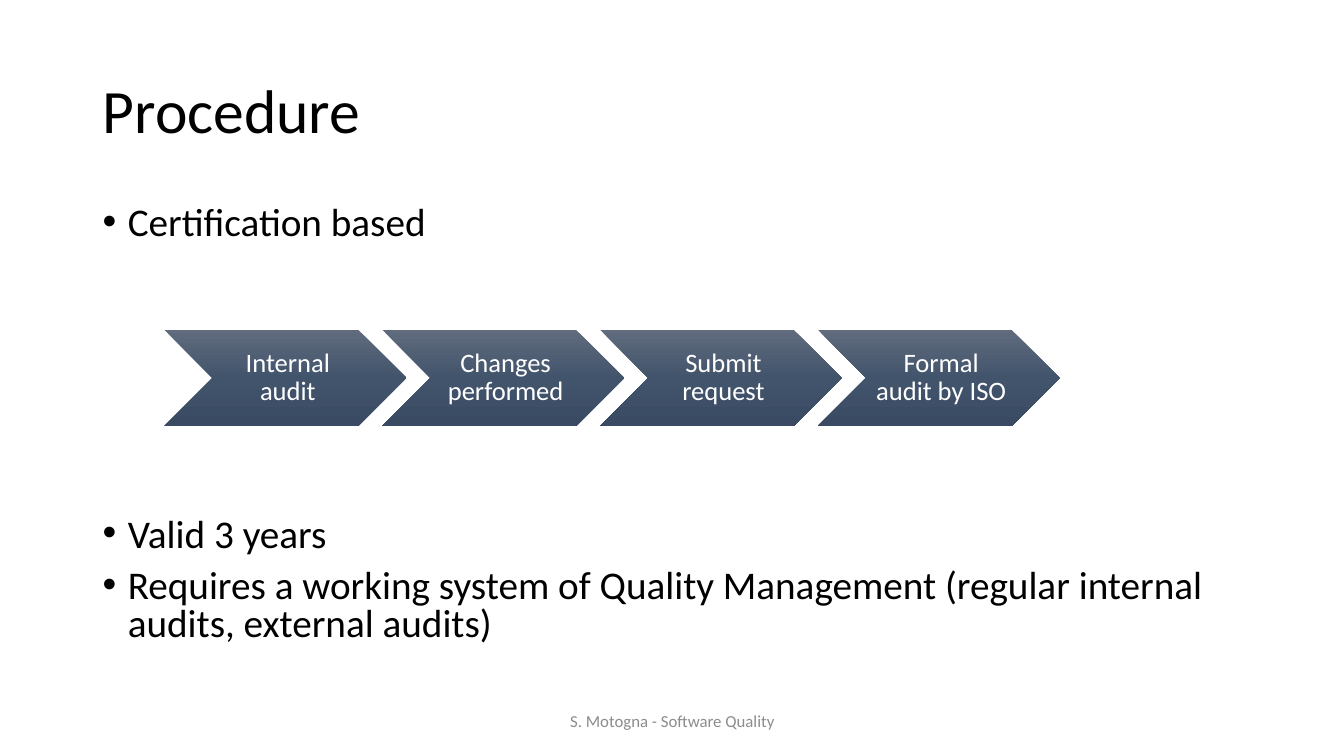
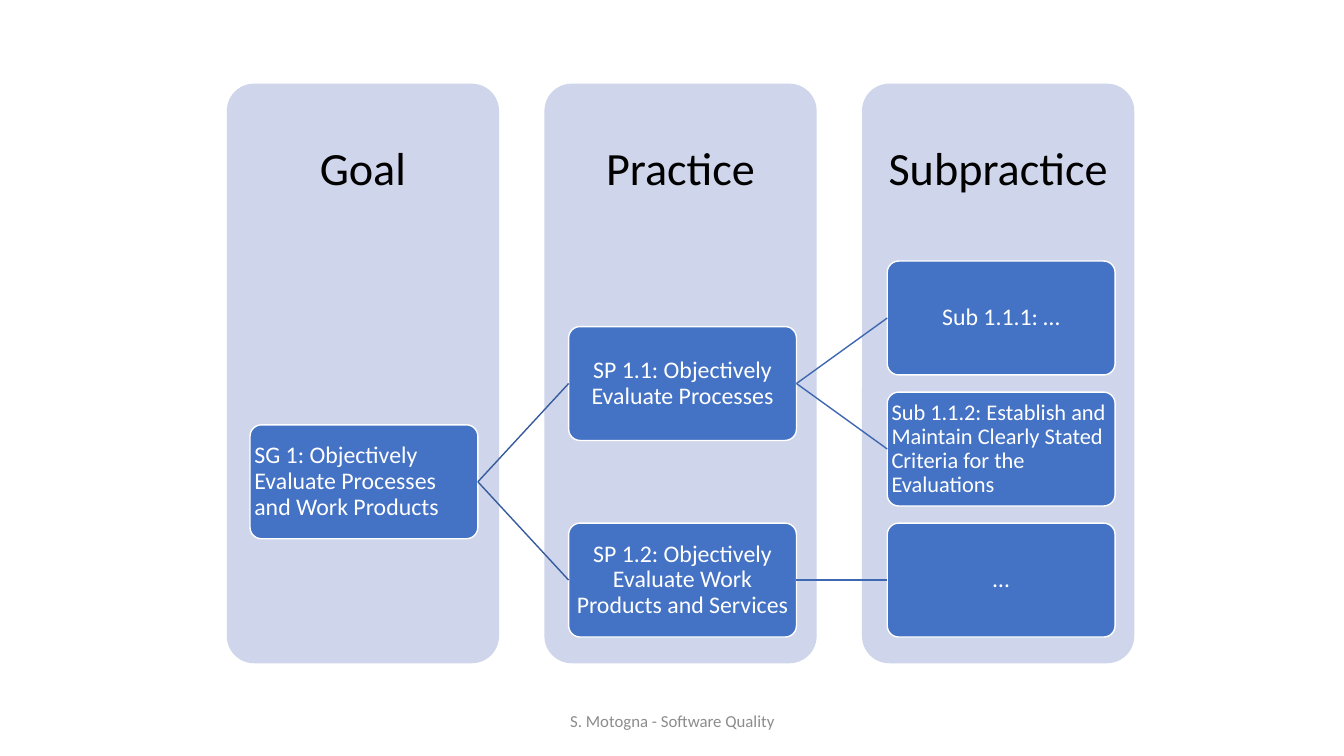
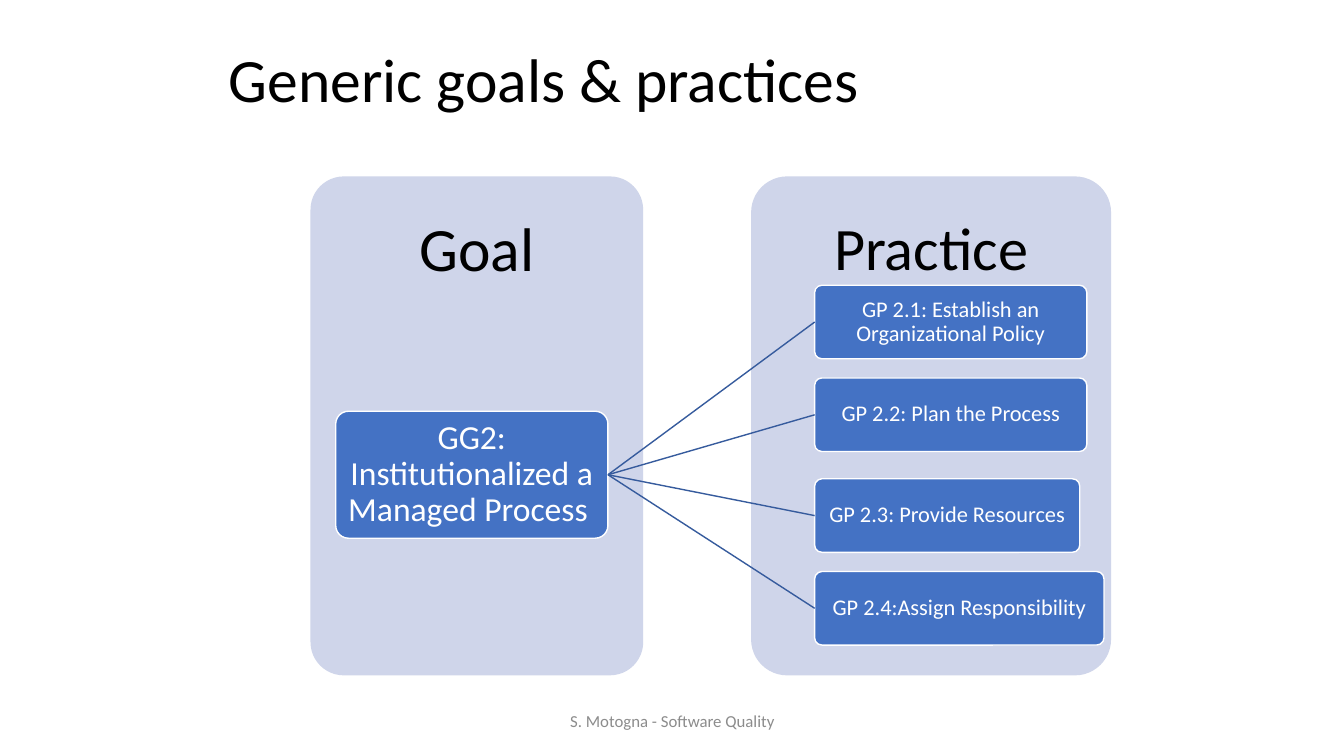
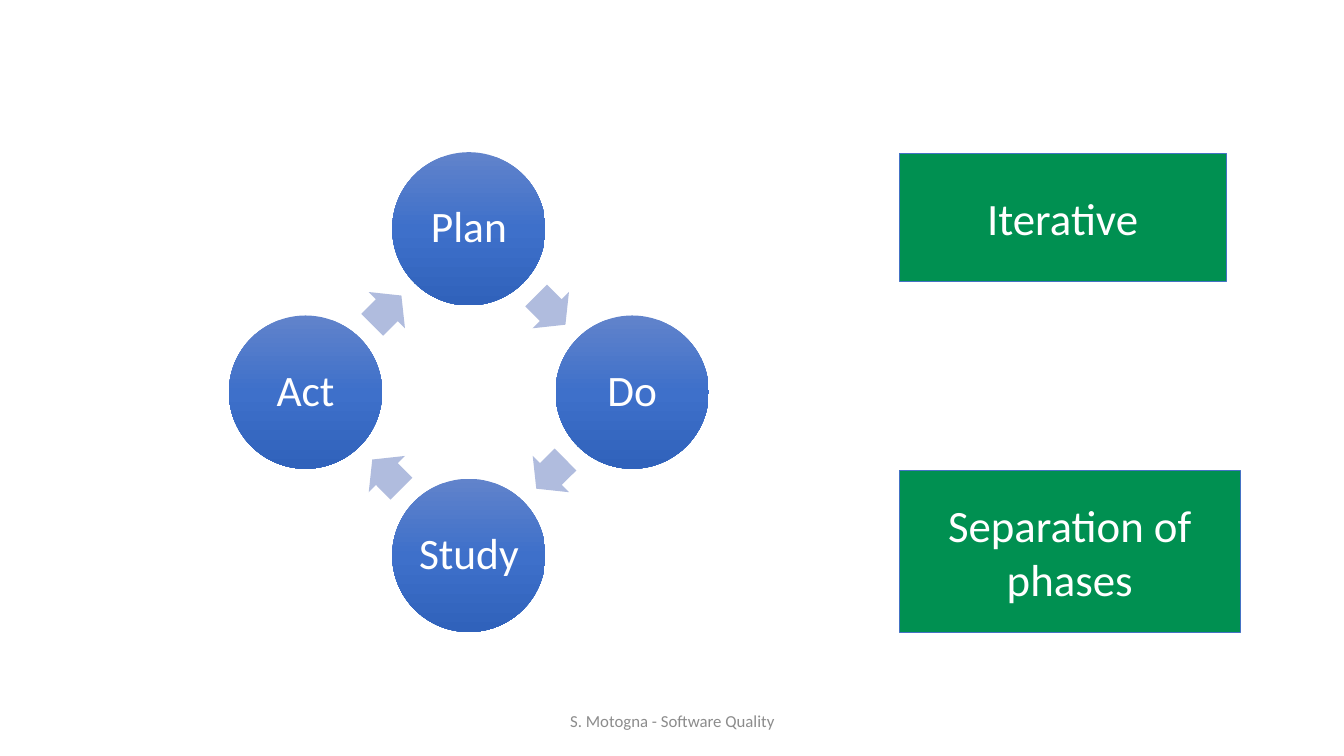
from dataclasses import dataclass
from math import cos, radians, sin

from lxml.etree import SubElement
from pptx import Presentation
from pptx.dml.color import RGBColor
from pptx.enum.shapes import MSO_CONNECTOR, MSO_SHAPE
from pptx.enum.text import MSO_ANCHOR, PP_ALIGN
from pptx.oxml.ns import qn
from pptx.util import Inches, Pt


@dataclass(frozen=True)
class Theme:
    font: str = "Calibri"
    black: str = "000000"
    white: str = "FFFFFF"
    footer: str = "8C8C8C"
    panel: str = "CFD5EA"
    card: str = "4472C4"
    green: str = "009051"
    arrow: str = "B0BCDE"
    links: tuple = ("365B9D", "3E67B2")
    slate: tuple = ("606B7D", "42546C", "394A62")
    blue: tuple = ("6183CB", "3E70CA", "3062BB")
    title_size: int = 44
    body_size: int = 28
    step_size: int = 19
    phase_size: int = 31
    note_size: int = 32
    footer_size: int = 12


THEME = Theme()
LEFT, CENTER = PP_ALIGN.LEFT, PP_ALIGN.CENTER
TITLE_ONLY, BLANK = 5, 6

# Content
FOOTER = "S. Motogna - Software Quality"
BULLETS = [
    (2.0, ["Certification based"]),
    (5.09, ["Valid 3 years",
            "Requires a working system of Quality Management "
            "(regular internal audits, external audits)"]),
]
STEPS = ["Internal audit", "Changes performed", "Submit request", "Formal audit by ISO "]
LEVELS = ["Goal", "Practice", "Subpractice"]
# text, column, row, parent, size, alignment
SPECIFIC = [
    ("SG 1: Objectively Evaluate Processes and Work Products", 0, 2.5, None, 17, LEFT),
    ("SP 1.1: Objectively Evaluate Processes", 1, 1, 0, 17, CENTER),
    ("SP 1.2: Objectively Evaluate Work Products and Services", 1, 4, 0, 17, CENTER),
    ("Sub 1.1.1: …", 2, 0, 1, 17, CENTER),
    ("Sub 1.1.2: Establish and Maintain Clearly Stated Criteria for the Evaluations",
     2, 2, 1, 16, LEFT),
    ("…", 2, 4, 2, 17, CENTER),
]
GENERIC_GOAL = "GG2: Institutionalized a Managed Process "
# text, top, width
GENERIC_PRACTICES = [
    ("GP 2.1: Establish an Organizational Policy", 2.83, 2.7),
    ("GP 2.2: Plan the Process", 3.75, 2.7),
    ("GP 2.3: Provide Resources", 4.75, 2.63),
    ("GP 2.4:Assign Responsibility", 5.67, 2.87),
]
PHASES = ["Plan", "Do", "Study", "Act"]
NOTES = [("Iterative", (8.92, 1.52, 3.24, 1.27)),
         ("Separation of phases", (8.92, 4.67, 3.38, 1.6))]


# Shared helpers
def write(para, text, size, color, align=CENTER, spacing=0.9):
    para.alignment = align
    para.line_spacing = spacing
    span = para.add_run()
    span.text = text
    span.font.name = THEME.font
    span.font.size = Pt(size)
    span.font.color.rgb = RGBColor.from_string(color)


def set_frame(frame, insets, anchor=MSO_ANCHOR.MIDDLE):
    frame.word_wrap = True
    frame.vertical_anchor = anchor
    (frame.margin_left, frame.margin_top,
     frame.margin_right, frame.margin_bottom) = map(Inches, insets)


def add_text_box(page, at, anchor=MSO_ANCHOR.MIDDLE):
    box = page.shapes.add_textbox(*map(Inches, at))
    set_frame(box.text_frame, (0.1, 0.05, 0.1, 0.05), anchor)
    return box.text_frame


def add_block(page, kind, at, fill, line=None, width=1):
    """Add a preset shape; a tuple of colours gives a vertical gradient."""
    shape = page.shapes.add_shape(kind, *map(Inches, at))
    shape.shadow.inherit = False
    if isinstance(fill, tuple):
        shape.fill.gradient()
        shape.fill.gradient_angle = 270
        stops = shape._element.spPr.find(".//" + qn("a:gsLst"))
        for stop in list(stops):
            stops.remove(stop)
        for index, color in enumerate(fill):
            position = index * 100000 // (len(fill) - 1)
            stop = SubElement(stops, qn("a:gs"), pos=str(position))
            SubElement(stop, qn("a:srgbClr"), val=color)
    else:
        shape.fill.solid()
        shape.fill.fore_color.rgb = RGBColor.from_string(fill)
    if line:
        shape.line.color.rgb = RGBColor.from_string(line)
        shape.line.width = Pt(width)
    else:
        shape.line.fill.background()
    return shape


def label(shape, text, size, color=THEME.white, align=CENTER,
          insets=(0.01,) * 4, spacing=0.9):
    set_frame(shape.text_frame, insets)
    write(shape.text_frame.paragraphs[0], text, size, color, align, spacing)


def add_page(deck, title=None, at=None):
    page = deck.slides.add_slide(deck.slide_layouts[TITLE_ONLY if title else BLANK])
    if title:
        holder = page.shapes.title
        holder.left, holder.top, holder.width, holder.height = map(Inches, at)
        label(holder, title, THEME.title_size, THEME.black, LEFT, (0.1, 0.05, 0.1, 0.05))
    footer = add_text_box(page, (4.42, 6.95, 4.5, 0.4))
    write(footer.paragraphs[0], FOOTER, THEME.footer_size, THEME.footer, spacing=1.0)
    return page


def add_panel(page, text, at, size):
    panel = add_block(page, MSO_SHAPE.ROUNDED_RECTANGLE, at, THEME.panel)
    panel.adjustments[0] = 0.1
    label(panel, text, size, THEME.black, insets=(0, 0, 0, at[3] * 0.7))


def add_card(page, text, at, size, align=CENTER):
    card = add_block(page, MSO_SHAPE.ROUNDED_RECTANGLE, at, THEME.card, THEME.white)
    card.adjustments[0] = 0.1
    label(card, text, size, align=align)
    return card


def link(page, parent, child, color):
    line = page.shapes.add_connector(MSO_CONNECTOR.STRAIGHT, 0, 0, 0, 0)
    line.begin_connect(parent, 3)
    line.end_connect(child, 1)
    line.line.color.rgb = RGBColor.from_string(color)
    line.line.width = Pt(1)
    SubElement(line._element.spPr, qn("a:effectLst"))


def add_bullets(page, top, items):
    frame = add_text_box(page, (0.92, top, 11.5, 0.55 * len(items) + 0.1), MSO_ANCHOR.TOP)
    for index, text in enumerate(items):
        para = frame.add_paragraph() if index else frame.paragraphs[0]
        props = para._p.get_or_add_pPr()
        props.set("marL", str(Inches(0.25)))
        props.set("indent", str(-Inches(0.25)))
        SubElement(props, qn("a:buFont"), typeface="Arial")
        SubElement(props, qn("a:buChar"), char="•")
        if index:
            para.space_before = Pt(10)
        write(para, text, THEME.body_size, THEME.black, LEFT, 0.8)


# Slides
def procedure_page(deck):
    page = add_page(deck, "Procedure", (0.92, 0.4, 11.5, 1.45))
    for top, items in BULLETS:
        add_bullets(page, top, items)
    for index, text in enumerate(STEPS):
        step = add_block(page, MSO_SHAPE.CHEVRON, (1.63 + 2.16 * index, 3.27, 2.4, 0.96),
                         THEME.slate)
        label(step, text, THEME.step_size, insets=(0.08, 0.03, 0.03, 0.03))


def specific_goals_page(deck):
    page = add_page(deck)
    for column, text in enumerate(LEVELS):
        add_panel(page, text, (2.25 + 3.15 * column, 0.83, 2.7, 5.75), 33)
    cards = []
    for text, column, row, parent, size, align in SPECIFIC:
        at = (2.48 + 3.16 * column, 2.59 + 0.65 * row, 2.26, 1.13)
        cards.append(add_card(page, text, at, size, align))
        if parent is not None:
            link(page, cards[parent], cards[-1], THEME.links[column - 1])


def generic_goals_page(deck):
    page = add_page(deck, "Generic goals & practices", (2.17, 0.3, 9, 1.03))
    for text, left, width, size in ((LEVELS[0], 3.08, 3.3, 44), (LEVELS[1], 7.45, 3.57, 43)):
        add_panel(page, text, (left, 1.75, width, 4.95), size)
    goal = add_card(page, GENERIC_GOAL, (3.33, 4.08, 2.7, 1.26), 24)
    for text, top, width in GENERIC_PRACTICES:
        practice = add_card(page, text, (8.08, top, width, 0.73), 16)
        link(page, goal, practice, THEME.links[0])


def cycle_page(deck):
    page = add_page(deck)

    def around(angle, radius, width, height):
        return (4.65 + radius * cos(radians(angle)) - width / 2,
                3.89 + radius * sin(radians(angle)) - height / 2, width, height)

    for index, text in enumerate(PHASES):
        angle = 90 * index - 90
        phase = add_block(page, MSO_SHAPE.OVAL, around(angle, 1.62, 1.52, 1.52), THEME.blue)
        label(phase, text, THEME.phase_size, insets=(0.04,) * 4)
        arrow = add_block(page, MSO_SHAPE.RIGHT_ARROW,
                          around(angle + 45, 1.15, 0.41, 0.51), THEME.arrow)
        arrow.adjustments[0] = 0.6
        arrow.rotation = angle + 135
    for text, at in NOTES:
        note = add_block(page, MSO_SHAPE.RECTANGLE, at, THEME.green, THEME.card, 0.5)
        label(note, text, THEME.note_size, insets=(0.1, 0.05, 0.1, 0.05), spacing=1.0)


def main():
    deck = Presentation()
    deck.slide_width, deck.slide_height = Inches(13.33), Inches(7.5)
    for build in (procedure_page, specific_goals_page, generic_goals_page, cycle_page):
        build(deck)
    deck.save("out.pptx")


if __name__ == "__main__":
    main()
